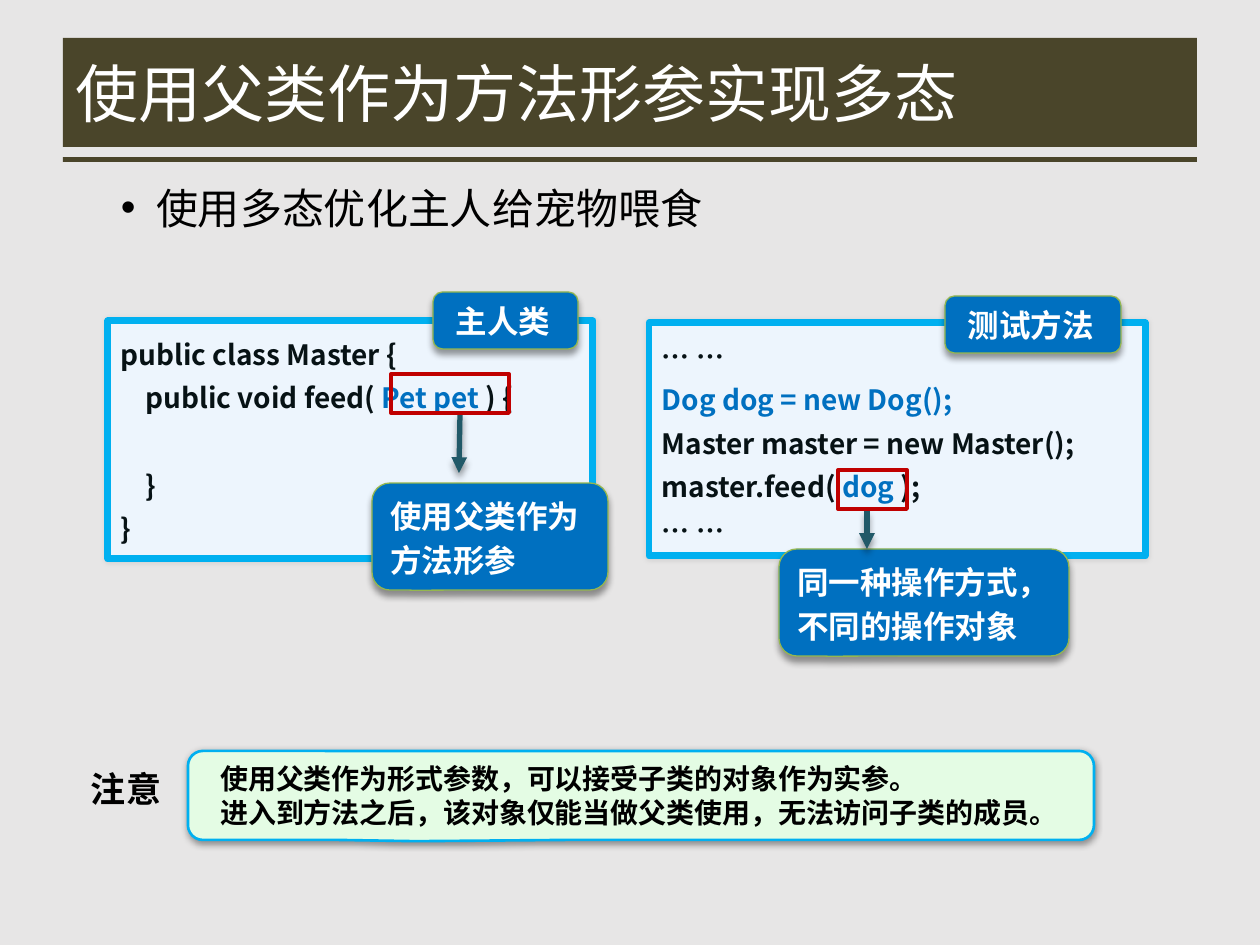
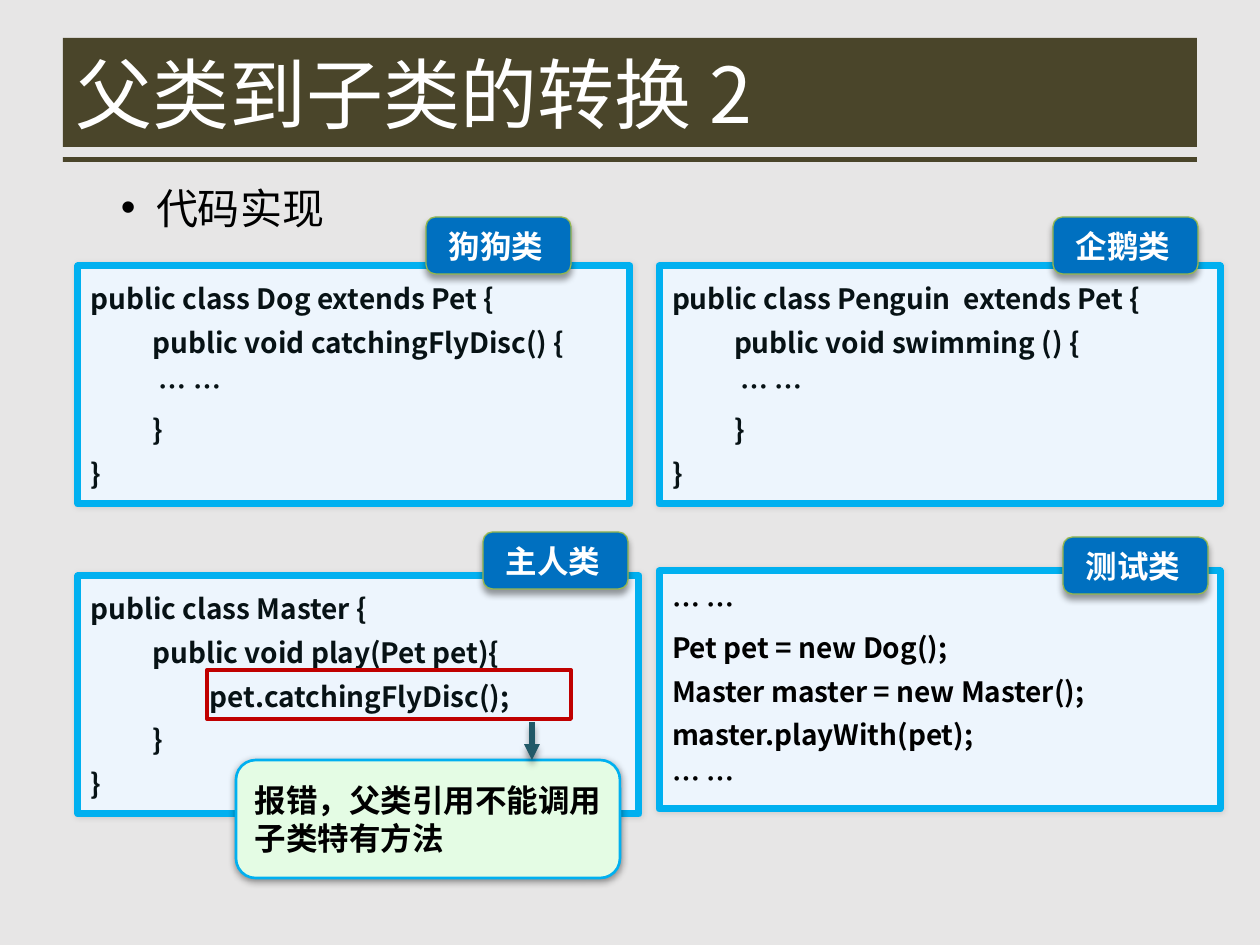
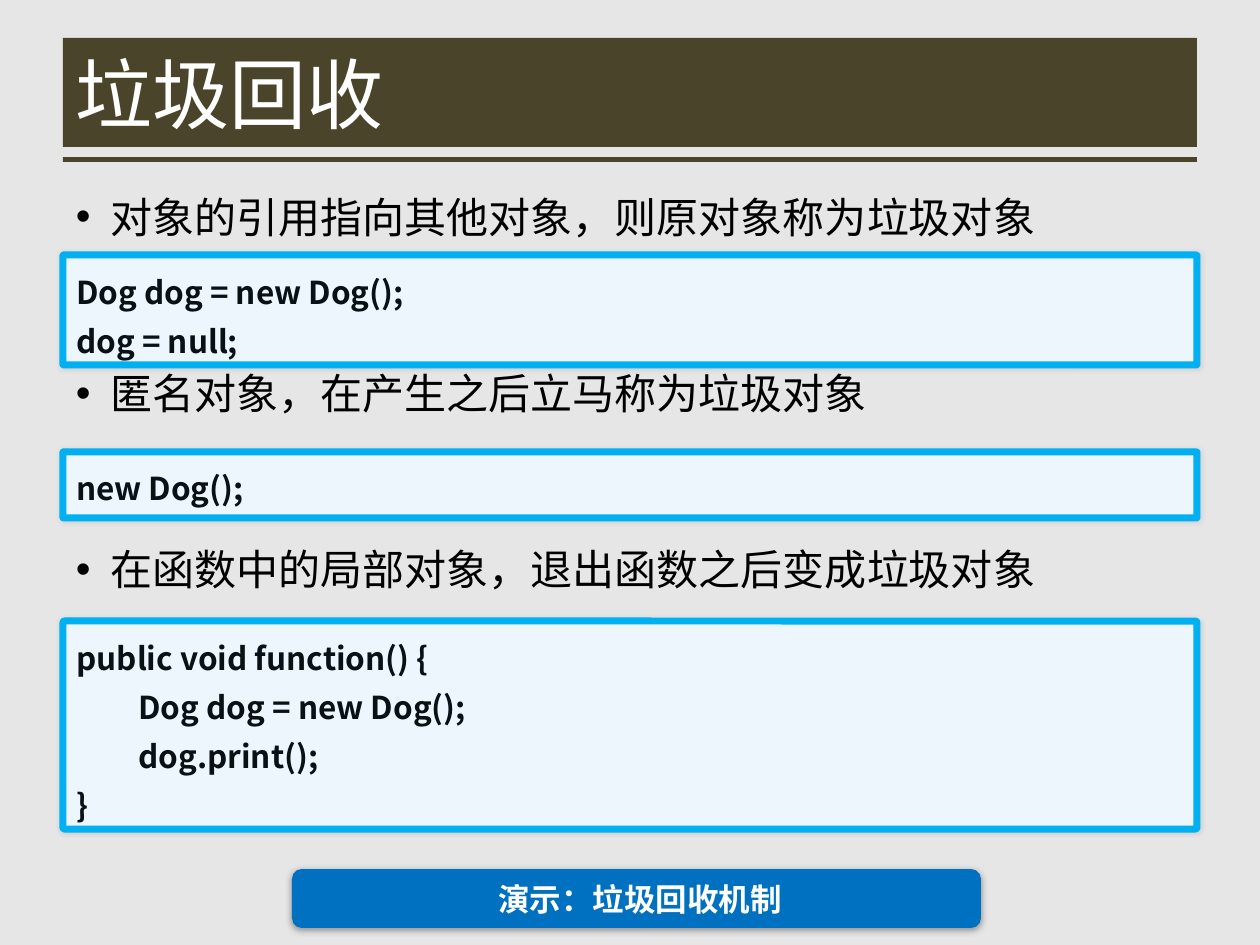
from lxml.etree import SubElement
from pptx import Presentation
from pptx.dml.color import RGBColor
from pptx.enum.shapes import MSO_CONNECTOR, MSO_SHAPE as SHAPE
from pptx.enum.text import MSO_ANCHOR as ANCHOR, PP_ALIGN as ALIGN
from pptx.oxml.ns import qn
from pptx.util import Emu, Pt

# ---- Theme: colours, type sizes and part styles ----
SCALE = 914400 / 126
FONT, LABEL_FONT = "Noto Sans CJK SC", "Arial"
BACKGROUND, OLIVE, BLACK, WHITE = "E7E6E6", "4A452A", "000000", "FFFFFF"
BLUE, CYAN, MINT, ICE = "0070C0", "00B0F0", "E4FCE4", "EDF5FD"
GREEN, INK, RED, TEAL = "95B74F", "071215", "C00000", "215968"
# Shadows: colour, opacity %, blur pt, distance pt, direction in degrees
HALO, DROP, LOW, DARK = ((BLACK, 10, 3, 0, 0), (BLACK, 40, 4, 3, 90),
                         (BLACK, 40, 4, 1, 90), ("262626", 43, 4, 1, 90))

BASE = dict(shape=SHAPE.RECTANGLE, adjust=(), fill=None, line=None, shadow=None,
            font=FONT, size=18, color=BLACK, bold=True, align=ALIGN.LEFT,
            spacing=None, before=0, bullet=False,
            frame=dict(vertical_anchor=ANCHOR.TOP, word_wrap=True),
            margins=dict(margin_left=13, margin_right=6, margin_top=6, margin_bottom=6))


def style(parent=BASE, frame=(), margins=(), **changes):
    return {**parent, **changes,
            "frame": {**parent["frame"], **dict(frame)},
            "margins": {**parent["margins"], **dict(margins)}}


MIDDLE, BOTTOM = {"vertical_anchor": ANCHOR.MIDDLE}, {"vertical_anchor": ANCHOR.BOTTOM}
CODE = style(shape=SHAPE.ROUNDED_RECTANGLE, adjust=(0,), fill=ICE, line=(CYAN, 4),
             shadow=HALO, size=16, color=INK, spacing=1.3)
TAG = style(shape=SHAPE.ROUNDED_RECTANGLE, adjust=(0.167,), fill=BLUE, line=(GREEN, 0.75),
            shadow=DROP, font=LABEL_FONT, color=WHITE, frame=BOTTOM,
            margins={"margin_left": 20})
HINT = style(shape=SHAPE.ROUNDED_RECTANGLE, adjust=(0.167,), fill=MINT, line=(CYAN, 1.5),
             shadow=LOW, frame=MIDDLE)
THEME = {
    "band": style(fill=OLIVE, size=44, color=WHITE, bold=False, frame=MIDDLE),
    "rule": style(fill=OLIVE),
    "body": style(size=24, bold=False, bullet=True),
    "code": CODE,
    "black code": style(CODE, color=BLACK),
    "large code": style(CODE, size=18, adjust=(0.008,)),
    "tag": TAG,
    "callout": style(TAG, shape=SHAPE.ROUNDED_RECTANGULAR_CALLOUT, before=3.6,
                     adjust=(-0.34, 0.502, 0.167), margins={"margin_left": 13}),
    "frame": style(line=(RED, 2.25)),
    "heading": style(size=20, frame=MIDDLE),
    "hint": HINT,
    "note": style(HINT, shape=SHAPE.ROUNDED_RECTANGULAR_CALLOUT, size=16,
                  adjust=(-0.248, 0.514, 0.167), margins={"margin_left": 28}),
    "demo": style(shape=SHAPE.FLOWCHART_ALTERNATE_PROCESS, fill=BLUE, shadow=DARK,
                  color=WHITE, align=ALIGN.CENTER, frame=MIDDLE),
}
ARROW = dict(color=TEAL, width=3, shadow=DROP)

# ---- Shared places, in pixels ----
BAND, RULE = (63, 38, 1134, 109), (63, 157, 1134, 5)
TAB, ELLIPSIS_TAB, HANG = 62, 68, 35
TAG_W, TAG_H, PANEL_H = 145, 57, 238
LEFT, RIGHT, PANEL_TOP, PANEL_W = 78, 659, 266, 561


def tag_at(left, top, width=TAG_W):
    return left, top, width, TAG_H


def wide_code(top, height):
    return 63, top, 1134, height


def pet_class(declaration, method):
    return [declaration, (TAB, method), (ELLIPSIS_TAB, "… …"), (TAB, "}"), "}"]


# ---- Content: (kind, place, lines); a line is text or (indent, text, space before) ----
# Text between bars is accented.
SLIDES = [
    dict(title="使用父类作为方法形参实现多态", title_size=36, parts=[
        ("body", (108, 176, 1053, 120), ["使用多态优化主人给宠物喂食"]),
        ("code", (649, 323, 496, 233), [
            "… …", "|Dog dog = new Dog();|", "Master master = new Master();",
            "master.feed( |dog |);", "… …"]),
        ("code", (108, 321, 485, PANEL_H), [
            "public class Master {", (25, "public void feed( |Pet pet |) {"),
            (25, "}", 25), "}"]),
        ("tag", tag_at(433, 292), ["主人类"]),
        ("tag", tag_at(945, 296, 176), ["测试方法"]),
        ("callout", (779, 549, 290, 107), ["同一种操作方式，", "不同的操作对象"]),
        ("arrow", (867, 510, 867, 549), []),
        ("callout", (372, 483, 236, 107), ["使用父类作为", "方法形参"]),
        ("arrow", (460, 413, 459, 473), []),
        ("frame", (391, 374, 118, 39), []),
        ("frame", (838, 470, 69, 39), []),
        ("heading", (78, 761, 97, 55), ["注意"]),
        ("note", (188, 751, 906, 89), [
            "使用父类作为形式参数，可以接受子类的对象作为实参。",
            "进入到方法之后，该对象仅能当做父类使用，无法访问子类的成员。"]),
    ]),
    dict(title="父类到子类的转换 2", title_size=44, parts=[
        ("body", (108, 176, 1053, 110), ["代码实现"]),
        ("code", (LEFT, 576, PANEL_W, PANEL_H), [
            "public class Master {", (TAB, "public void play(Pet pet){"),
            (119, "pet.catchingFlyDisc();"), (TAB, "}"), "}"]),
        ("code", (RIGHT, PANEL_TOP, PANEL_W, PANEL_H), pet_class(
            "public class Penguin  extends Pet {", "public void swimming () {")),
        ("code", (LEFT, PANEL_TOP, 552, PANEL_H), pet_class(
            "public class Dog extends Pet {", "public void catchingFlyDisc() {")),
        ("tag", tag_at(426, 217), ["狗狗类"]),
        ("tag", tag_at(1053, 217), ["企鹅类"]),
        ("tag", tag_at(483, 532), ["主人类"]),
        ("black code", (RIGHT, 571, PANEL_W, PANEL_H), [
            "… …", "Pet pet = new Dog();", "Master master = new Master();",
            "master.playWith(pet);", "… …"]),
        ("tag", tag_at(1063, 537), ["测试类"]),
        ("frame", (207, 670, 364, 49), []),
        ("hint", (236, 760, 384, 118), ["报错，父类引用不能调用子类特有方法"]),
        ("arrow", (532, 722, 532, 760), []),
    ]),
    dict(title="垃圾回收", title_size=44, parts=[
        ("body", (63, 185, 1134, 659), [
            "对象的引用指向其他对象，则原对象称为垃圾对象",
            (0, "匿名对象，在产生之后立马称为垃圾对象", 72),
            (0, "在函数中的局部对象，退出函数之后变成垃圾对象", 72)]),
        ("demo", (292, 869, 689, 59), ["演示：垃圾回收机制"]),
        ("large code", wide_code(255, 110), ["Dog dog = new Dog();", "dog = null;"]),
        ("large code", wide_code(452, 66), ["new Dog();"]),
        ("large code", wide_code(621, 208), [
            "public void function() {", (TAB, "Dog dog = new Dog();"),
            (TAB, "dog.print();"), "}"]),
    ]),
]


# ---- Drawing ----
def px(value):
    return Emu(round(value * SCALE))


def rgb(code):
    return RGBColor.from_string(code)


def add_shadow(effects, color, opacity, blur, distance, direction):
    outer = SubElement(effects, qn("a:outerShdw"), blurRad=str(Pt(blur)),
                       dist=str(Pt(distance)), dir=str(direction * 60000),
                       algn="ctr", rotWithShape="0")
    tint = SubElement(outer, qn("a:srgbClr"), val=color)
    SubElement(tint, qn("a:alpha"), val=str(opacity * 1000))


def write_line(paragraph, line, look, first):
    indent, text, before = (line if isinstance(line, tuple) else (0, line))[:2] + (
        line[2] if isinstance(line, tuple) and len(line) > 2 else look["before"],)
    paragraph.alignment = look["align"]
    paragraph.space_before = Pt(0 if first else before)
    if look["spacing"]:
        paragraph.line_spacing = look["spacing"]
    properties = paragraph._p.get_or_add_pPr()
    if look["bullet"]:
        properties.set("marL", str(px(HANG)))
        properties.set("indent", str(-px(HANG)))
        SubElement(properties, qn("a:buFont"), typeface=LABEL_FONT)
        SubElement(properties, qn("a:buChar"), char="•")
    elif indent:
        properties.set("marL", str(px(indent)))
        properties.set("indent", "0")
    for position, piece in enumerate(text.split("|")):
        if not piece:
            continue
        run = paragraph.add_run()
        run.text = piece
        values = dict(name=look["font"], size=Pt(look["size"]), bold=look["bold"])
        for key, value in values.items():
            setattr(run.font, key, value)
        run.font.color.rgb = rgb(BLUE if position % 2 else look["color"])
        SubElement(run._r.get_or_add_rPr(), qn("a:ea"), typeface=FONT)


def add_part(slide, look, place, lines):
    box = [px(value) for value in place]
    if look["fill"] or look["line"]:
        part = slide.shapes.add_shape(look["shape"], *box)
        part.shadow.inherit = False
        for index, value in enumerate(look["adjust"]):
            part.adjustments[index] = value
        if look["fill"]:
            part.fill.solid()
            part.fill.fore_color.rgb = rgb(look["fill"])
        else:
            part.fill.background()
        if look["line"]:
            color, width = look["line"]
            part.line.color.rgb = rgb(color)
            part.line.width = Pt(width)
        else:
            part.line.fill.background()
        if look["shadow"]:
            add_shadow(part._element.spPr.find(qn("a:effectLst")), *look["shadow"])
    else:
        part = slide.shapes.add_textbox(*box)
    frame = part.text_frame
    for key, value in look["frame"].items():
        setattr(frame, key, value)
    for key, value in look["margins"].items():
        setattr(frame, key, px(value))
    for index, line in enumerate(lines):
        paragraph = frame.add_paragraph() if index else frame.paragraphs[0]
        write_line(paragraph, line, look, index == 0)


def add_arrow(slide, ends):
    arrow = slide.shapes.add_connector(MSO_CONNECTOR.STRAIGHT, *[px(v) for v in ends])
    arrow.line.color.rgb = rgb(ARROW["color"])
    arrow.line.width = Pt(ARROW["width"])
    properties = arrow._element.spPr
    SubElement(properties.find(qn("a:ln")), qn("a:tailEnd"), type="triangle")
    add_shadow(SubElement(properties, qn("a:effectLst")), *ARROW["shadow"])


# ---- Build ----
deck = Presentation()
deck.slide_width, deck.slide_height = px(1260), px(945)
for content in SLIDES:
    slide = deck.slides.add_slide(deck.slide_layouts[6])
    slide.background.fill.solid()
    slide.background.fill.fore_color.rgb = rgb(BACKGROUND)
    title_look = style(THEME["band"], size=content["title_size"])
    add_part(slide, title_look, BAND, [content["title"]])
    add_part(slide, THEME["rule"], RULE, [])
    for kind, place, lines in content["parts"]:
        if kind == "arrow":
            add_arrow(slide, place)
        else:
            add_part(slide, THEME[kind], place, lines)
deck.save("out.pptx")
